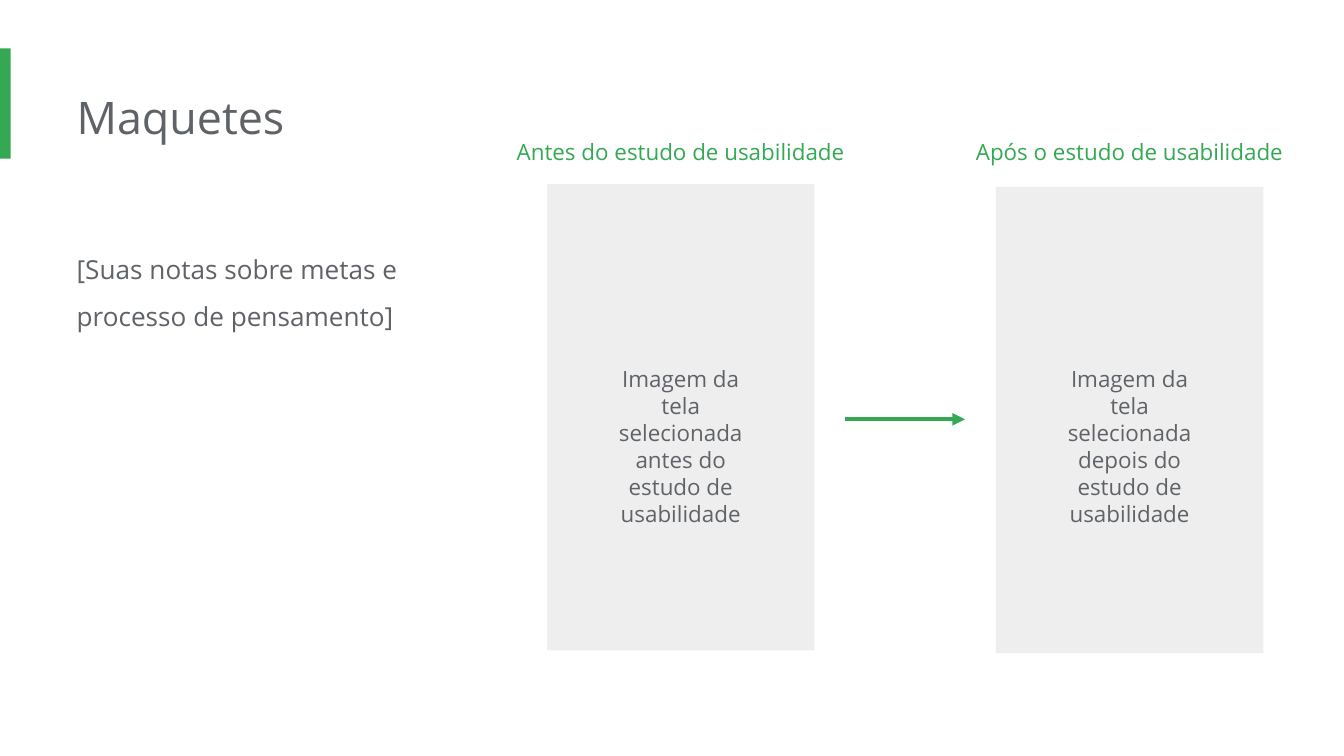
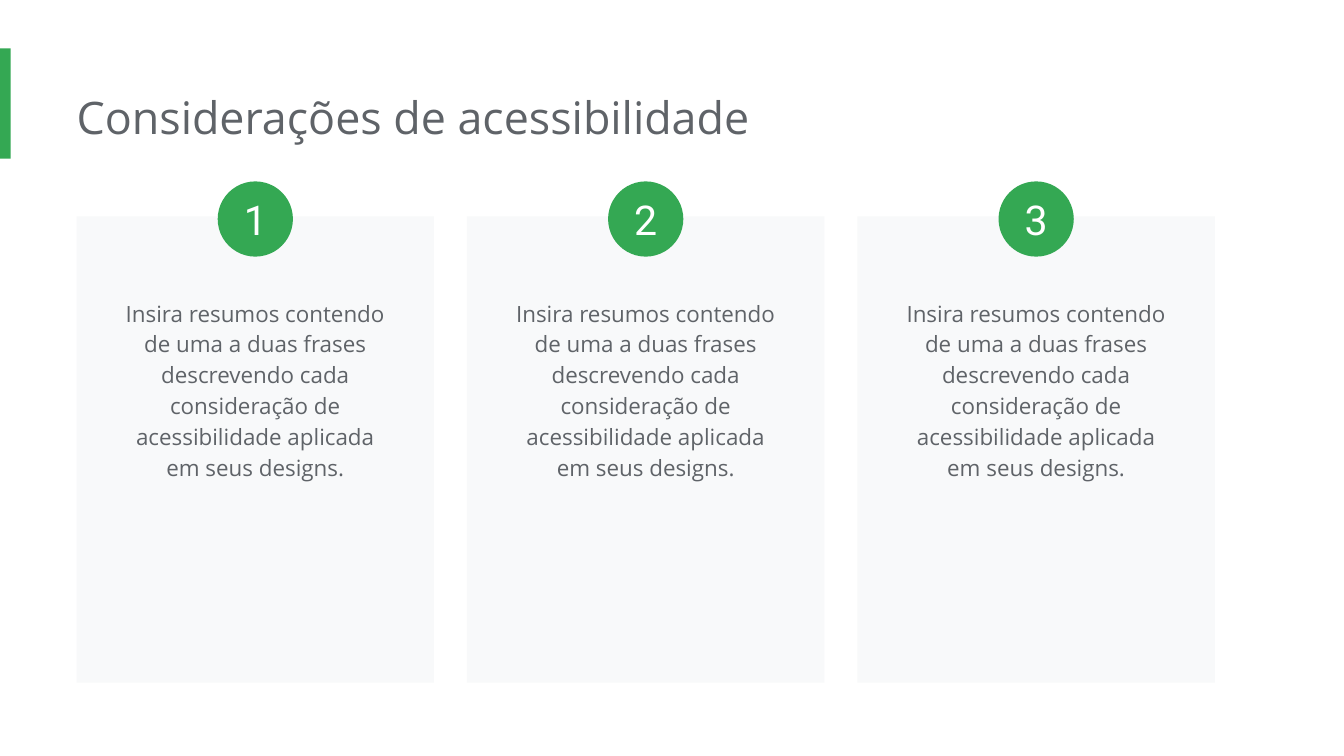
from lxml import etree
from pptx import Presentation
from pptx.dml.color import RGBColor
from pptx.enum import shapes, text
from pptx.oxml.ns import qn
from pptx.util import Inches, Pt

# Content
MOCKUPS = {
    "title": "Maquetes",
    "notes": "[Suas notas sobre metas e processo de pensamento]",
    # caption, caption width, screen text, screen left, screen top
    "screens": [
        ("Antes do estudo de usabilidade", 3.95,
         "Imagem da tela selecionada antes do estudo de usabilidade", 4.07, 1.37),
        ("Após o estudo de usabilidade", 2.57,
         "Imagem da tela selecionada depois do estudo de usabilidade", 7.41, 1.39),
    ],
}
SUMMARY = ("Insira resumos contendo de uma a duas frases descrevendo cada "
           "consideração de acessibilidade aplicada em seus designs.")
ACCESSIBILITY = {
    "title": "Considerações de acessibilidade",
    "cards": [SUMMARY] * 3,
}

# Shared style and grid
COLORS = {"green": "34A853", "gray": "5F6368", "screen": "EEEEEE",
          "card": "F8F9FA", "white": "FFFFFF"}
FONT, NUMBER_FONT = "Open Sans", "Roboto"
SLIDE_W, SLIDE_H = 10, 5.625
MARGIN = 0.57
PANEL_H = 3.47
SCREEN_W, SCREEN_TEXT_W = 1.99, 1.35
CARD_W, CARD_STEP, CARD_TOP = 2.66, 2.905, 1.61
CARD_TEXT_W, BADGE = 2.24, 0.56


def rgb(name):
    return RGBColor.from_string(COLORS[name])


def box(left, top, width, height):
    return [Inches(v) for v in (left, top, width, height)]


def write(sp, content, size, color="gray", font=FONT, align=text.PP_ALIGN.LEFT,
          spacing=None, insets=(0.1, 0.1, 0.1, 0.1), anchor=text.MSO_ANCHOR.TOP,
          fit=text.MSO_AUTO_SIZE.SHAPE_TO_FIT_TEXT):
    tf = sp.text_frame
    tf.text = content
    tf.word_wrap, tf.auto_size, tf.vertical_anchor = True, fit, anchor
    (tf.margin_left, tf.margin_top,
     tf.margin_right, tf.margin_bottom) = [Inches(v) for v in insets]
    p = tf.paragraphs[0]
    p.alignment = align
    if spacing:
        p.line_spacing = spacing
    p.font.size, p.font.name, p.font.color.rgb = Pt(size), font, rgb(color)


def add_text(s, at, content, size, **style):
    write(s.shapes.add_textbox(*box(*at)), content, size, **style)


def add_centered(s, center, top, width, height, content, **style):
    add_text(s, (center - width / 2, top, width, height), content, 12,
             align=text.PP_ALIGN.CENTER, **style)


def add_panel(s, at, color, kind=shapes.MSO_SHAPE.RECTANGLE):
    sp = s.shapes.add_shape(kind, *box(*at))
    sp.shadow.inherit = False
    sp.fill.solid()
    sp.fill.fore_color.rgb = rgb(color)
    sp.line.fill.background()
    return sp


def add_arrow(s, x1, x2, y):
    line = s.shapes.add_connector(shapes.MSO_CONNECTOR.STRAIGHT,
                                  Inches(x1), Inches(y), Inches(x2), Inches(y))
    line.line.color.rgb, line.line.width = rgb("green"), Pt(2.25)
    props = line.element.spPr
    etree.SubElement(props.find(qn("a:ln")), qn("a:tailEnd"), type="triangle")
    etree.SubElement(props, qn("a:effectLst"))


def new_slide(prs, title):
    s = prs.slides.add_slide(prs.slide_layouts[5])
    add_panel(s, (0, 0.36, 0.08, 0.82), "green")
    sp = s.shapes.title
    sp.left, sp.top, sp.width, sp.height = box(MARGIN, MARGIN, 7.66, 0.61)
    write(sp, title, 24, insets=(0, 0.1, 0.1, 0.1))
    return s


def build_mockups(prs):
    s = new_slide(prs, MOCKUPS["title"])
    add_text(s, (MARGIN, 1.67, 2.65, 1.14), MOCKUPS["notes"], 14,
             spacing=1.5, insets=(0, 0.1, 0.1, 0.1))
    # Screens with captions
    for caption, caption_w, content, left, top in MOCKUPS["screens"]:
        center = left + SCREEN_W / 2
        add_panel(s, (left, top, SCREEN_W, PANEL_H), "screen")
        add_centered(s, center, 0.93, caption_w, 0.64, caption, color="green")
        add_centered(s, center, 2.62, SCREEN_TEXT_W, 1.01, content)
    add_arrow(s, 6.29, 7.18, 3.12)


def build_accessibility(prs):
    s = new_slide(prs, ACCESSIBILITY["title"])
    # Numbered cards
    for i, content in enumerate(ACCESSIBILITY["cards"]):
        left = MARGIN + i * CARD_STEP
        center = left + CARD_W / 2
        add_panel(s, (left, CARD_TOP, CARD_W, PANEL_H), "card")
        add_centered(s, center, 2.1, CARD_TEXT_W, 1.33, content, spacing=1.15)
        badge = add_panel(s, (center - BADGE / 2, 1.35, BADGE, BADGE), "green",
                          shapes.MSO_SHAPE.OVAL)
        write(badge, str(i + 1), 22, "white", NUMBER_FONT, text.PP_ALIGN.CENTER,
              insets=(0, 0, 0, 0), anchor=text.MSO_ANCHOR.MIDDLE,
              fit=text.MSO_AUTO_SIZE.NONE)


def main():
    prs = Presentation()
    prs.slide_width, prs.slide_height = Inches(SLIDE_W), Inches(SLIDE_H)
    build_mockups(prs)
    build_accessibility(prs)
    prs.save("out.pptx")


if __name__ == "__main__":
    main()
